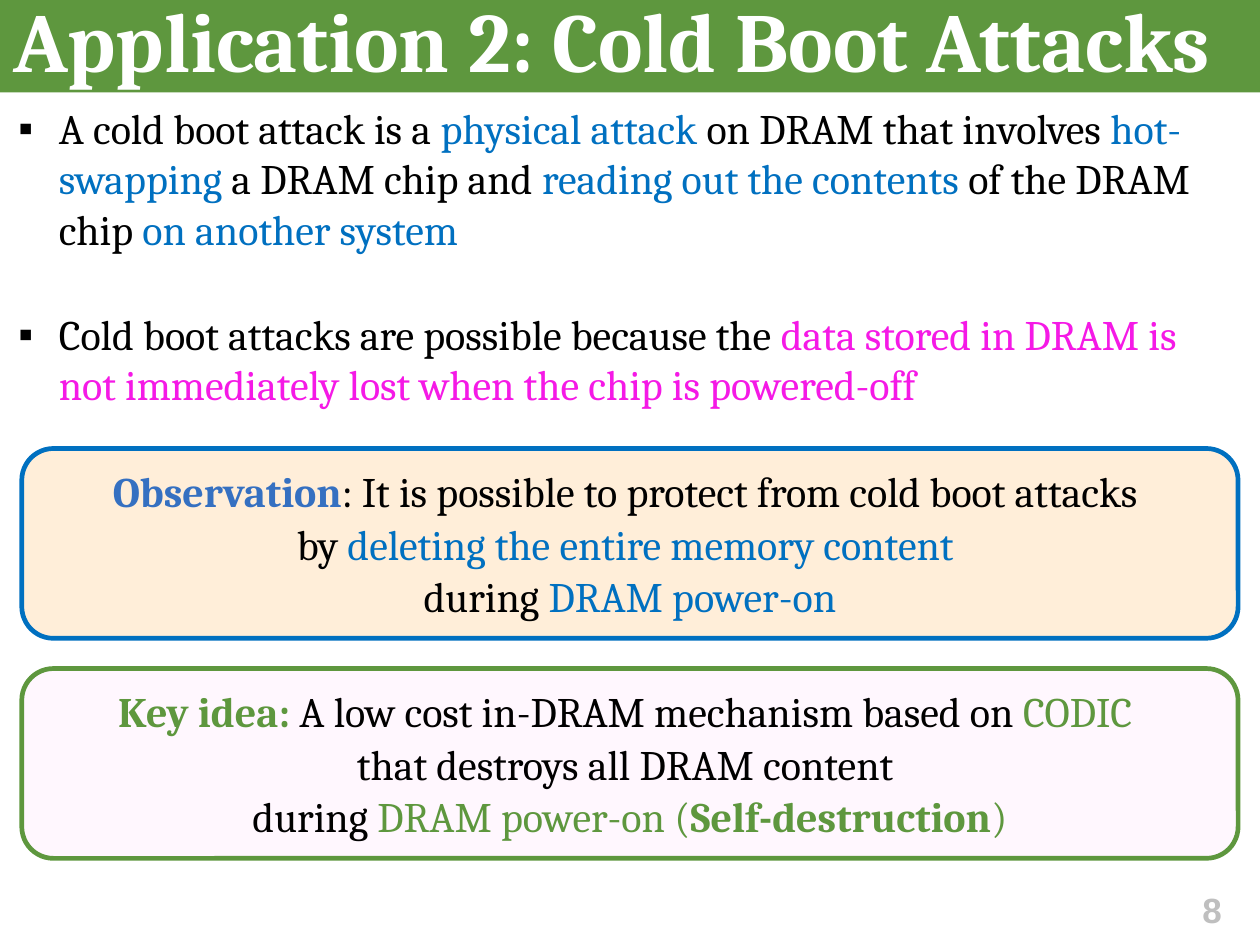
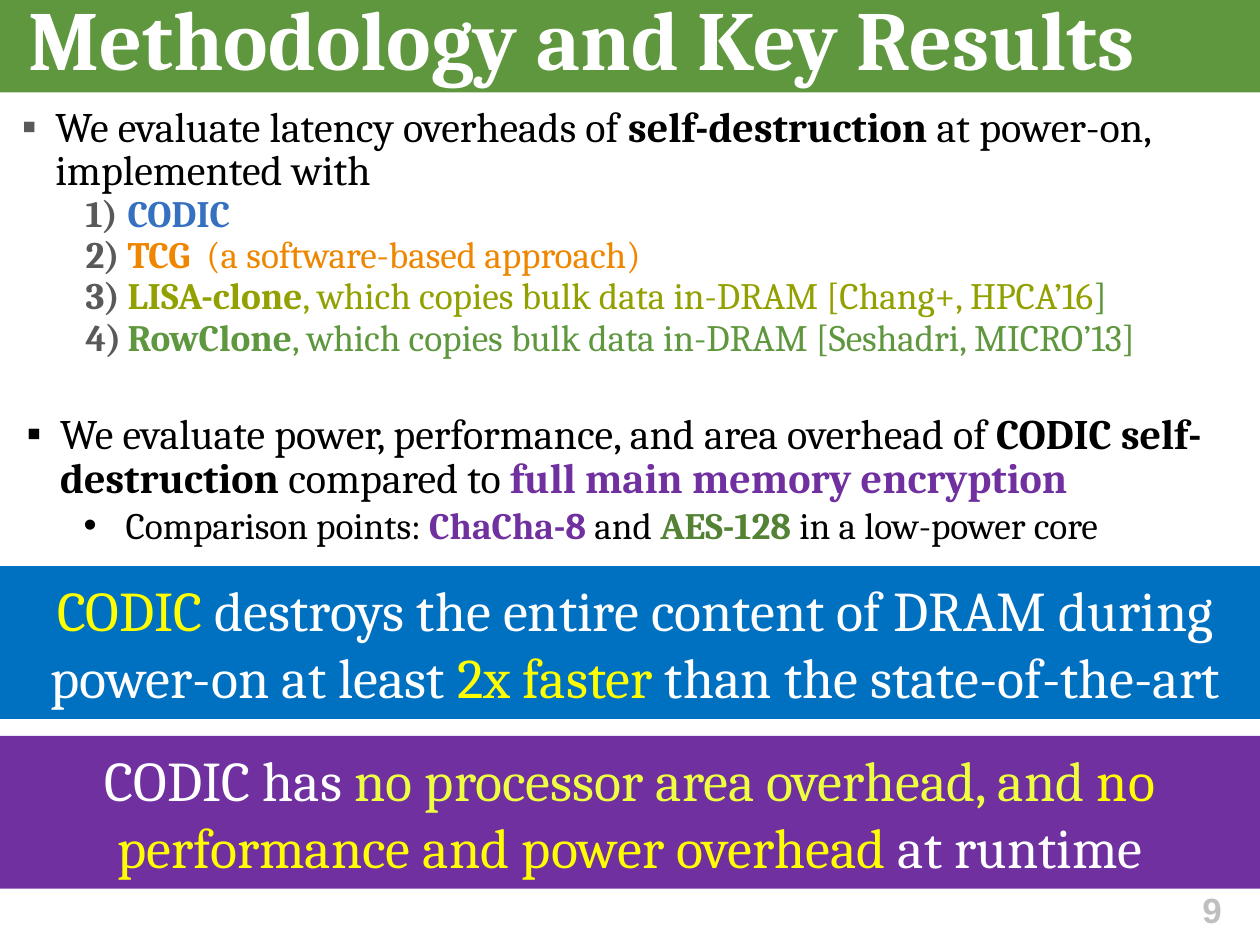
from lxml import etree
from pptx import Presentation
from pptx.dml.color import RGBColor
from pptx.enum.shapes import MSO_SHAPE
from pptx.enum.text import MSO_ANCHOR, MSO_AUTO_SIZE, PP_ALIGN
from pptx.oxml.ns import qn
from pptx.util import Inches, Pt

RECTANGLE, ROUNDED = MSO_SHAPE.RECTANGLE, MSO_SHAPE.ROUNDED_RECTANGLE
LEFT, CENTER = PP_ALIGN.LEFT, PP_ALIGN.CENTER
TOP, MIDDLE = MSO_ANCHOR.TOP, MSO_ANCHOR.MIDDLE
NO_AUTOFIT = MSO_AUTO_SIZE.NONE

BLACK = RGBColor(0x00, 0x00, 0x00)
WHITE = RGBColor(0xFF, 0xFF, 0xFF)
DARK_GRAY = RGBColor(0x59, 0x59, 0x59)
LIGHT_GRAY = RGBColor(0xBF, 0xBF, 0xBF)
GREEN = RGBColor(0x5E, 0x97, 0x3E)
DARK_GREEN = RGBColor(0x53, 0x82, 0x34)
OLIVE = RGBColor(0x92, 0xA0, 0x00)
BLUE = RGBColor(0x00, 0x70, 0xC0)
SOFT_BLUE = RGBColor(0x35, 0x70, 0xC1)
MAGENTA = RGBColor(0xF5, 0x19, 0xE6)
PINK = RGBColor(0xFF, 0x9C, 0xF3)
CREAM = RGBColor(0xFF, 0xEE, 0xD9)
ORANGE = RGBColor(0xEF, 0x86, 0x00)
PURPLE = RGBColor(0x70, 0x30, 0xA0)
YELLOW = RGBColor(0xFF, 0xFF, 0x00)
LEMON = RGBColor(0xEE, 0xFF, 0x41)


def write(frame, spans, size=18, align=LEFT, space=1, pitch=None,
          bullet=None, level=0, font="Cambria"):
    first = not frame.paragraphs[0].runs
    para = frame.paragraphs[0] if first else frame.add_paragraph()
    if bullet:
        mark, color, left, hang = bullet
        props = para._p.get_or_add_pPr()
        props.set("marL", str(Inches(left)))
        props.set("indent", str(-Inches(hang)))
        bullet_color = etree.SubElement(props, qn("a:buClr"))
        etree.SubElement(bullet_color, qn("a:srgbClr"), val=str(color))
        if mark == "1)":
            etree.SubElement(props, qn("a:buFont"), typeface=font)
            etree.SubElement(props, qn("a:buAutoNum"), type="arabicParenR")
        else:
            etree.SubElement(props, qn("a:buFont"), typeface="Arial")
            etree.SubElement(props, qn("a:buChar"), char=mark)
    para.level = level
    para.alignment = align
    para.space_before = Pt(0 if first else space)
    if pitch:
        para.line_spacing = Pt(pitch)
    for text, color, bold in spans:
        span = para.add_run()
        span.text = text
        span.font.name = font
        span.font.size = Pt(size)
        span.font.bold = bold
        span.font.color.rgb = color


def add_panel(page, kind, place, fill, outline=None):
    panel = page.shapes.add_shape(kind, *map(Inches, place))
    panel.shadow.inherit = False
    panel.fill.solid()
    panel.fill.fore_color.rgb = fill
    if outline:
        panel.line.color.rgb = outline
        panel.line.width = Pt(2)
    else:
        panel.line.fill.background()
    panel.text_frame.word_wrap = True
    panel.text_frame.vertical_anchor = MIDDLE
    return panel


deck = Presentation()
deck.slide_width = Inches(7.5)
deck.slide_height = deck.slide_width * 3 // 4
title_only = deck.slide_layouts[5]

pages, bodies = [], []
for number, heading, title_place, body_place in [
    ("8", "Application 2: Cold Boot Attacks",
     (0.01, -0.14, 7.98, 0.61), (0.04, 0.54, 7.4, 2.1)),
    ("9", "Methodology and Key Results",
     (0.1, -0.15, 7.4, 0.67), (0.06, 0.57, 7.44, 1.64)),
]:
    page = deck.slides.add_slide(title_only)
    title = page.shapes.title
    title.left, title.top, title.width, title.height = map(Inches, title_place)
    band = add_panel(page, RECTANGLE, (0, 0, 7.5, 0.55), GREEN)
    title._element.addprevious(band._element)
    body = page.shapes.add_textbox(*map(Inches, body_place))
    for frame in (title.text_frame, body.text_frame):
        frame.word_wrap = True
        frame.auto_size = NO_AUTOFIT
        frame.vertical_anchor = TOP
        frame.margin_left = frame.margin_right = Inches(0.07)
        frame.margin_top = frame.margin_bottom = Inches(0.07)
    write(title.text_frame, [(heading, WHITE, True)], size=36)

    number_box = page.shapes.add_textbox(
        Inches(7.06), Inches(5.3), Inches(0.31), Inches(0.23))
    frame = number_box.text_frame
    frame.word_wrap = True
    frame.vertical_anchor = MIDDLE
    frame.margin_left = frame.margin_right = Inches(0.04)
    frame.margin_top = frame.margin_bottom = 0
    write(frame, [(number, LIGHT_GRAY, True)], size=15, align=CENTER, font="Arial")
    pages.append(page)
    bodies.append(body.text_frame)

attack_page, results_page = pages
attack_body, results_body = bodies

for spans in [
    [("A cold boot attack is a ", BLACK, False),
     ("physical attack ", BLUE, False),
     ("on DRAM that involves ", BLACK, False),
     ("hot-swapping", BLUE, False),
     (" a DRAM chip and ", BLACK, False),
     ("reading out the contents ", BLUE, False),
     ("of the DRAM chip ", BLACK, False),
     ("on another system", BLUE, False)],
    [("Cold boot attacks are possible because the ", BLACK, False),
     ("data stored in DRAM is not immediately lost when the chip is powered-off",
      MAGENTA, False)],
]:
    write(attack_body, spans, space=23.5, bullet=("▪", BLACK, 0.24, 0.24))

observation = add_panel(attack_page, ROUNDED, (0.13, 2.67, 7.24, 1.13), CREAM, BLUE)
key_idea = add_panel(attack_page, ROUNDED, (0.13, 3.98, 7.24, 1.13), PINK, GREEN)
key_fill = key_idea._element.spPr.find(qn("a:solidFill"))
etree.SubElement(key_fill[0], qn("a:alpha"), val="8000")

for panel, lines in [
    (observation, [
        [("Observation", SOFT_BLUE, True),
         (": It is possible to protect from cold boot attacks ", BLACK, False)],
        [("by ", BLACK, False),
         ("deleting the entire memory content ", BLUE, False)],
        [("during ", BLACK, False), ("DRAM power-on", BLUE, False)],
    ]),
    (key_idea, [
        [("Key idea: ", GREEN, True),
         ("A low cost in-DRAM mechanism based on ", BLACK, False),
         ("CODIC ", GREEN, False)],
        [("that destroys all DRAM content ", BLACK, False)],
        [("during ", BLACK, False),
         ("DRAM power-on (", GREEN, False),
         ("Self-destruction", GREEN, True),
         (")", GREEN, False)],
    ]),
]:
    for spans in lines:
        write(panel.text_frame, spans, align=CENTER)

write(results_body, [
    ("We evaluate latency overheads of ", BLACK, False),
    ("self-destruction", BLACK, True),
    (" at power-on, implemented with", BLACK, False),
], pitch=18.6, bullet=("▪", DARK_GRAY, 0.2, 0.2))
for spans in [
    [("CODIC", SOFT_BLUE, True)],
    [("TCG ", ORANGE, True), (" (a software-based approach)", ORANGE, False)],
    [("LISA-clone", OLIVE, True),
     (", which copies bulk data in-DRAM [Chang+, HPCA’16", OLIVE, False),
     ("]", GREEN, False)],
    [("RowClone", GREEN, True),
     (", which copies bulk data in-DRAM [Seshadri, MICRO’13]", GREEN, False)],
]:
    write(results_body, spans, size=16, pitch=16.6, level=1,
          bullet=("1)", DARK_GRAY, 0.63, 0.25))

overhead_box = results_page.shapes.add_textbox(
    Inches(0.06), Inches(2.42), Inches(7.44), Inches(0.92))
overhead = overhead_box.text_frame
overhead.word_wrap = True
write(overhead, [
    ("We evaluate power, performance, and area overhead of ", BLACK, False),
    ("CODIC self-destruction", BLACK, True),
    (" compared to ", BLACK, False),
    ("full main memory encryption", PURPLE, True),
], pitch=18.6, bullet=("▪", BLACK, 0.2, 0.2))
write(overhead, [
    ("Comparison points: ", BLACK, False),
    ("ChaCha-8", PURPLE, True),
    (" and ", BLACK, False),
    ("AES-128", DARK_GREEN, True),
    (" in a low-power core", BLACK, False),
], size=16, pitch=18.6, level=1, bullet=("•", BLACK, 0.59, 0.25))

for place, fill, spans in [
    ((0, 3.37, 7.56, 0.91), BLUE, [
        ("CODIC", YELLOW, False),
        (" destroys the entire content of DRAM during power-on at least ", WHITE, False),
        ("2x faster ", YELLOW, False),
        ("than the state-of-the-art", WHITE, False)]),
    ((0, 4.38, 7.5, 0.91), PURPLE, [
        ("CODIC has ", WHITE, False),
        ("no processor area overhead, and ", LEMON, False),
        ("no performance and power overhead ", YELLOW, False),
        ("at runtime", WHITE, False)]),
]:
    banner = add_panel(results_page, RECTANGLE, place, fill)
    write(banner.text_frame, spans, size=24, align=CENTER)

deck.save("out.pptx")
